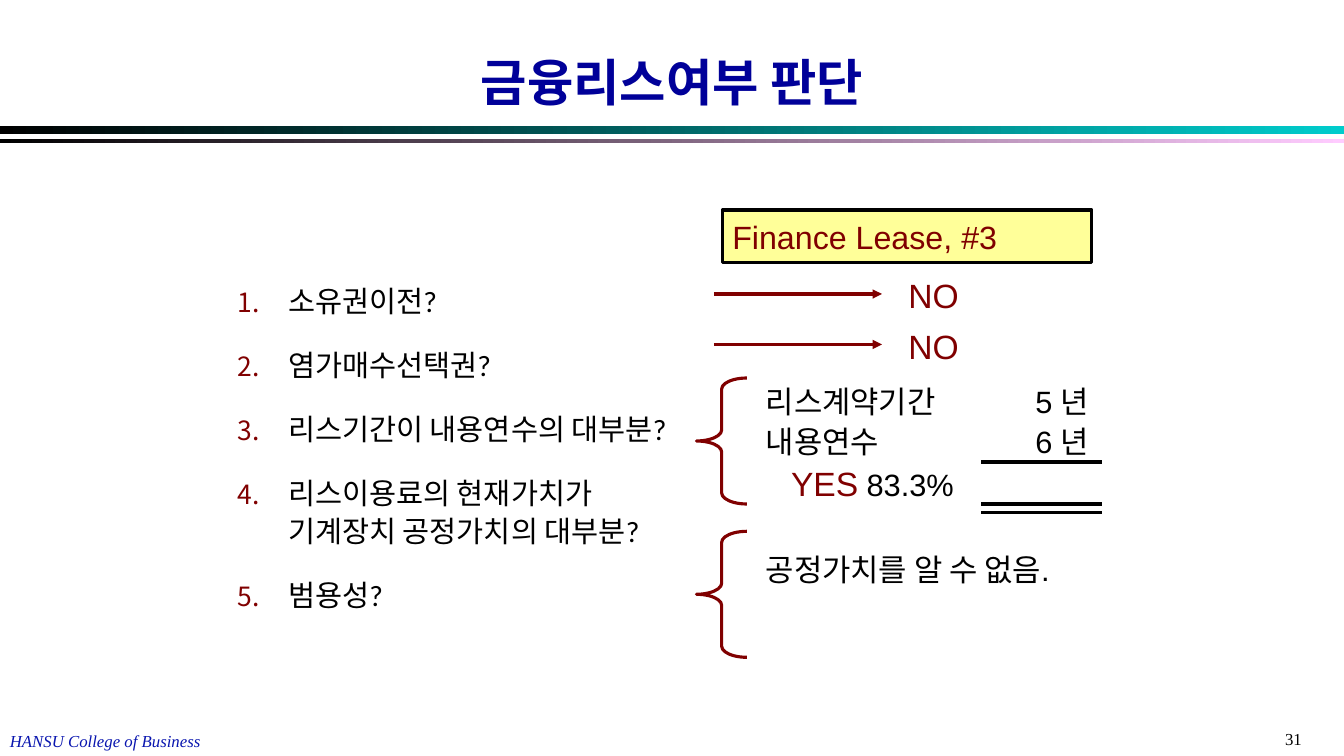
from lxml import etree
from pptx import Presentation
from pptx import util as u
from pptx.dml.color import RGBColor
from pptx.enum import shapes, text
from pptx.oxml import ns

Pt = u.Pt
MAROON, BLACK, NAVY = "800000", "000000", "000099"
LINE_WIDTH = 2.25
LEFT, CENTER = text.PP_ALIGN.LEFT, text.PP_ALIGN.CENTER
TOP, MIDDLE = text.MSO_ANCHOR.TOP, text.MSO_ANCHOR.MIDDLE
QUESTIONS = [
    "소유권이전?",
    "염가매수선택권?",
    "리스기간이 내용연수의 대부분?",
    "리스이용료의 현재가치가 기계장치 공정가치의 대부분?",
    "범용성?",
]


def color(value):
    """Turn a hex string into a colour."""
    return RGBColor.from_string(value)


def add_child(parent, tag, **attributes):
    """Append a drawing element with the given attributes."""
    return etree.SubElement(parent, ns.qn(tag), attributes)


def write(box, words, size=22, font="Arial", ink=BLACK, bold=False, italic=False,
          align=LEFT, anchor=TOP, wrap=True):
    """Fill a shape with one formatted paragraph per line of words."""
    frame = box.text_frame
    frame.word_wrap = wrap
    frame.vertical_anchor = anchor
    for index, line in enumerate(words.split("\n")):
        para = frame.add_paragraph() if index else frame.paragraphs[0]
        para.alignment = align
        span = para.add_run()
        span.text = line
        span.font.size = Pt(size)
        span.font.name = font
        span.font.bold = bold
        span.font.italic = italic
        span.font.color.rgb = color(ink)
    return frame.paragraphs


def add_text(page, words, left, top, width, height, **style):
    """Add a text box and return its paragraphs."""
    box = page.shapes.add_textbox(Pt(left), Pt(top), Pt(width), Pt(height))
    return write(box, words, **style)


def add_outline(page, kind, left, top, width, height, ink, fill=None):
    """Add an outlined preset shape."""
    shape = page.shapes.add_shape(kind, Pt(left), Pt(top), Pt(width), Pt(height))
    shape.shadow.inherit = False
    shape.line.color.rgb = color(ink)
    shape.line.width = Pt(LINE_WIDTH)
    if fill:
        shape.fill.solid()
        shape.fill.fore_color.rgb = color(fill)
    else:
        shape.fill.background()
    return shape


def add_brace(page, top):
    """Add a left brace beside an answer."""
    brace = add_outline(page, shapes.MSO_SHAPE.LEFT_BRACE, 497.5, top, 36, 90, MAROON)
    brace.adjustments[0] = 0.22
    brace.adjustments[1] = 0.5


def add_rule(page, left, right, y, ink, arrow=False):
    """Add a horizontal line, with an arrowhead if asked."""
    rule = page.shapes.add_connector(
        shapes.MSO_CONNECTOR.STRAIGHT, Pt(left), Pt(y), Pt(right), Pt(y))
    rule.line.color.rgb = color(ink)
    rule.line.width = Pt(LINE_WIDTH)
    if arrow:
        add_child(rule.line._get_or_add_ln(), "a:tailEnd", type="triangle")
    add_child(rule._element.spPr, "a:effectLst")


def add_band(page, top, height, end):
    """Add a full-width band fading from black."""
    band = page.shapes.add_shape(
        shapes.MSO_SHAPE.RECTANGLE, 0, Pt(top), Pt(960), Pt(height))
    band.shadow.inherit = False
    band.line.fill.background()
    band.fill.gradient()
    band.fill.gradient_angle = 0
    for stop, ink in zip(band.fill.gradient_stops, (BLACK, end)):
        stop.color.rgb = color(ink)


def add_questions(page):
    """Add the numbered list of lease criteria."""
    paras = add_text(page, "\n".join(QUESTIONS), 162.7, 196, 317, 300,
                     size=21, font="Calibri")
    for index, para in enumerate(paras):
        para.line_spacing = 1.1
        para.space_before = Pt(18 if index else 0)
        properties = para._p.get_or_add_pPr()
        properties.set("marL", str(Pt(36)))
        properties.set("indent", str(Pt(-36)))
        add_child(add_child(properties, "a:buClr"), "a:srgbClr", val=MAROON)
        add_child(properties, "a:buSzPct", val="90000")
        add_child(properties, "a:buFont", typeface="Calibri")
        add_child(properties, "a:buAutoNum", type="arabicPeriod")


def add_term_ratio(page):
    """Add the lease term, useful life and their ratio."""
    paras = add_text(page, "리스계약기간\t5 년\n내용연수\t6 년\nYES", 540, 270, 246, 94)
    for para in paras:
        para.space_before = Pt(2.2)
        tabs = add_child(para._p.get_or_add_pPr(), "a:tabLst")
        add_child(tabs, "a:tab", pos=str(Pt(231)), algn="r")
    verdict = paras[-1]
    verdict._p.get_or_add_pPr().set("indent", str(Pt(18)))
    verdict.runs[0].font.size = Pt(24)
    verdict.runs[0].font.color.rgb = color(MAROON)
    ratio = verdict.add_run()
    ratio.text = "\t83.3%"
    ratio.font.size = Pt(22)
    ratio.font.name = "Arial"
    ratio.font.color.rgb = color(BLACK)
    for y in (330, 360, 366):
        add_rule(page, 701, 787, y, BLACK)


def main():
    """Build the slide and save it."""
    deck = Presentation()
    deck.slide_width, deck.slide_height = Pt(960), Pt(540)
    page = deck.slides.add_slide(deck.slide_layouts[6])

    add_band(page, 90, 6, "00CCCC")
    add_band(page, 99, 3, "FFCCFF")
    add_text(page, "금융리스여부 판단", 174, 41, 612, 42, size=36, ink=NAVY, bold=True,
             align=CENTER, anchor=text.MSO_ANCHOR.BOTTOM)
    add_text(page, "HANSU College of Business", 0, 518.5, 194, 22, size=12,
             font="Times New Roman", ink="0915AF", italic=True, wrap=False)
    add_text(page, "31", 910.8, 517, 49, 22, size=12, font="Times New Roman")

    add_questions(page)
    for y in (210, 246):
        add_rule(page, 510, 630, y, MAROON, arrow=True)
        add_text(page, "NO", 641.8, y - 17, 84, 36, size=24, ink=MAROON)

    add_term_ratio(page)
    add_text(page, "공정가치를 알 수 없음.", 540, 390, 246, 60)
    for top in (270, 379.5):
        add_brace(page, top)

    verdict = add_outline(page, shapes.MSO_SHAPE.RECTANGLE, 516, 150, 264, 37.5,
                          BLACK, "FFFF99")
    write(verdict, "Finance Lease, #3", size=23, ink=MAROON, anchor=MIDDLE)
    deck.save("out.pptx")


if __name__ == "__main__":
    main()
